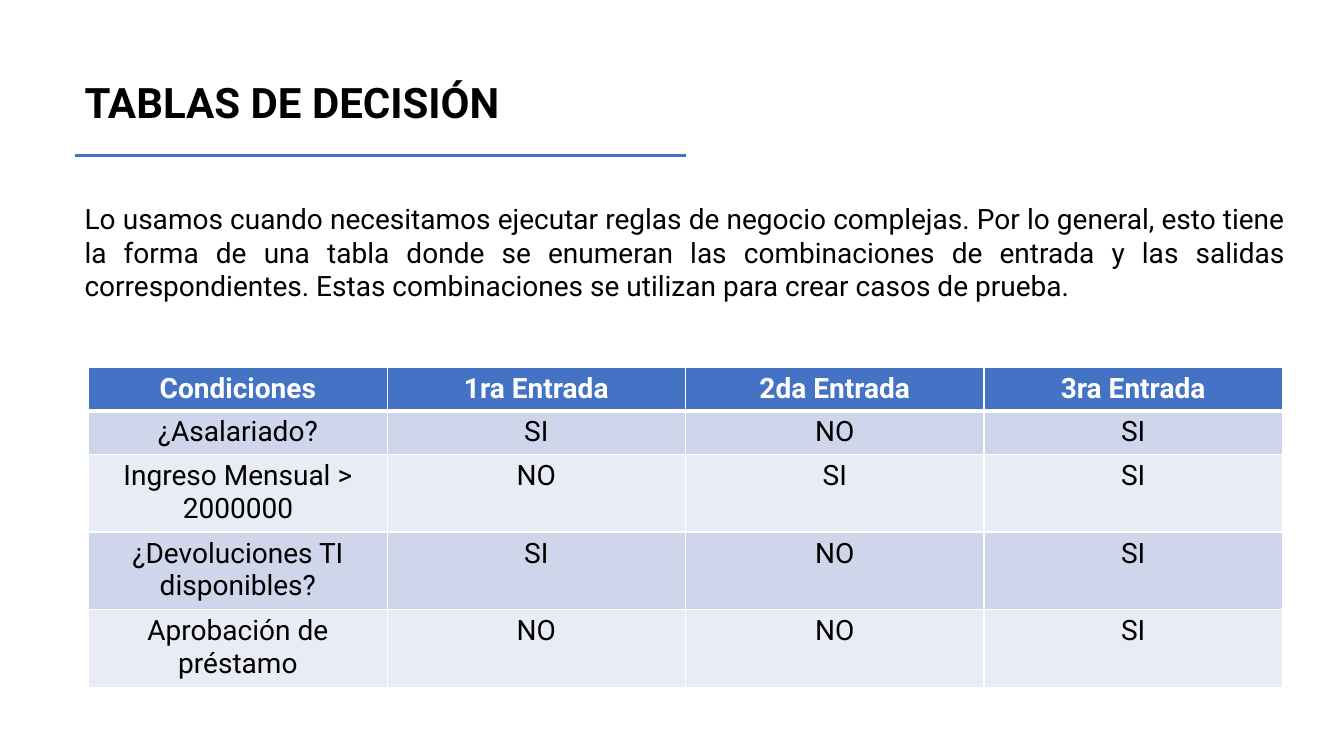
from dataclasses import dataclass

import pptx
import pptx.dml.color
import pptx.enum.shapes
import pptx.enum.text
import pptx.oxml.ns
import pptx.presentation
import pptx.slide
import pptx.table
import pptx.text.text
import pptx.util
from lxml import etree

Inches = pptx.util.Inches
Pt = pptx.util.Pt
RGBColor = pptx.dml.color.RGBColor
Align = pptx.enum.text.PP_ALIGN

BLACK = RGBColor(0x00, 0x00, 0x00)
WHITE = RGBColor(0xFF, 0xFF, 0xFF)
BLUE = RGBColor(0x44, 0x72, 0xC4)
BAND_DARK = RGBColor(0xCF, 0xD5, 0xEA)
BAND_LIGHT = RGBColor(0xE9, 0xEB, 0xF5)

COLUMN_WIDTH = 2.96
ROW_HEIGHTS = (0.43, 0.43, 0.77, 0.77, 0.77)
DECISIONS = (
    ("Condiciones", "1ra Entrada", "2da Entrada", "3ra Entrada"),
    ("¿Asalariado?", "SI", "NO", "SI"),
    ("Ingreso Mensual > 2000000", "NO", "SI", "SI"),
    ("¿Devoluciones TI disponibles?", "SI", "NO", "SI"),
    ("Aprobación de préstamo", "NO", "NO", "SI"),
)


@dataclass(frozen=True)
class TextStyle:
    size: float
    color: RGBColor = BLACK
    bold: bool = False
    alignment: Align = Align.LEFT
    line_spacing: float = 1.0


@dataclass(frozen=True)
class TextBlock:
    text: str
    left: float
    top: float
    width: float
    height: float
    style: TextStyle


HEADER_STYLE = TextStyle(20, WHITE, True, Align.CENTER)
CELL_STYLE = TextStyle(20, alignment=Align.CENTER)
TEXT_BLOCKS = (
    TextBlock("TABLAS DE DECISIÓN", 0.74, 0.77, 8.43, 0.65,
              TextStyle(30, bold=True, line_spacing=0.9)),
    TextBlock(
        "Lo usamos cuando necesitamos ejecutar reglas de negocio complejas. "
        "Por lo general, esto tiene la forma de una tabla donde se enumeran "
        "las combinaciones de entrada y las salidas correspondientes. "
        "Estas combinaciones se utilizan para crear casos de prueba.",
        0.74, 1.95, 12.11, 1.1, TextStyle(20, alignment=Align.JUSTIFY)),
)


def write_text(frame: pptx.text.text.TextFrame, text: str, style: TextStyle) -> None:
    frame.text = text
    paragraph = frame.paragraphs[0]
    paragraph.alignment = style.alignment
    paragraph.line_spacing = style.line_spacing
    font = paragraph.runs[0].font
    formats = {"name": "Roboto", "size": Pt(style.size), "bold": style.bold}
    for attribute, value in formats.items():
        setattr(font, attribute, value)
    font.color.rgb = style.color


def add_text_block(slide: pptx.slide.Slide, block: TextBlock) -> None:
    shape = slide.shapes.add_textbox(
        Inches(block.left), Inches(block.top), Inches(block.width), Inches(block.height))
    shape.text_frame.word_wrap = True
    write_text(shape.text_frame, block.text, block.style)


def add_title_rule(slide: pptx.slide.Slide) -> None:
    connector = slide.shapes.add_connector(
        pptx.enum.shapes.MSO_CONNECTOR.STRAIGHT,
        Inches(0.74), Inches(1.54), Inches(6.8), Inches(1.54))
    connector.line.color.rgb = BLUE
    connector.line.width = Pt(2.25)
    properties = connector.element.find(pptx.oxml.ns.qn("p:spPr"))
    etree.SubElement(properties, pptx.oxml.ns.qn("a:effectLst"))


def add_borders(cell: pptx.table._Cell, top: float, bottom: float) -> None:
    """Give the cell white borders, with widths in points."""
    properties = cell._tc.get_or_add_tcPr()
    for side, width in {"L": 1, "R": 1, "T": top, "B": bottom}.items():
        border = etree.SubElement(
            properties, pptx.oxml.ns.qn(f"a:ln{side}"), w=str(Pt(width)))
        fill = etree.SubElement(border, pptx.oxml.ns.qn("a:solidFill"))
        etree.SubElement(fill, pptx.oxml.ns.qn("a:srgbClr"), val=str(WHITE))


def add_decision_table(slide: pptx.slide.Slide) -> None:
    column_count = len(DECISIONS[0])
    table = slide.shapes.add_table(
        len(DECISIONS), column_count, Inches(0.88), Inches(3.64),
        Inches(column_count * COLUMN_WIDTH), Inches(sum(ROW_HEIGHTS))).table
    for column in table.columns:
        column.width = Inches(COLUMN_WIDTH)
    for row_index, (height, texts) in enumerate(zip(ROW_HEIGHTS, DECISIONS)):
        table.rows[row_index].height = Inches(height)
        is_header = row_index == 0
        band = BAND_DARK if row_index % 2 else BAND_LIGHT
        for column_index, text in enumerate(texts):
            cell = table.cell(row_index, column_index)
            add_borders(cell, top=3 if row_index == 1 else 1, bottom=3 if is_header else 1)
            cell.fill.solid()
            cell.fill.fore_color.rgb = BLUE if is_header else band
            write_text(cell.text_frame, text, HEADER_STYLE if is_header else CELL_STYLE)


def main() -> None:
    presentation = pptx.Presentation()
    presentation.slide_width = Inches(13.33)
    presentation.slide_height = Inches(7.5)
    slide = presentation.slides.add_slide(presentation.slide_layouts[6])
    for block in TEXT_BLOCKS:
        add_text_block(slide, block)
    add_title_rule(slide)
    add_decision_table(slide)
    presentation.save("out.pptx")


if __name__ == "__main__":
    main()
